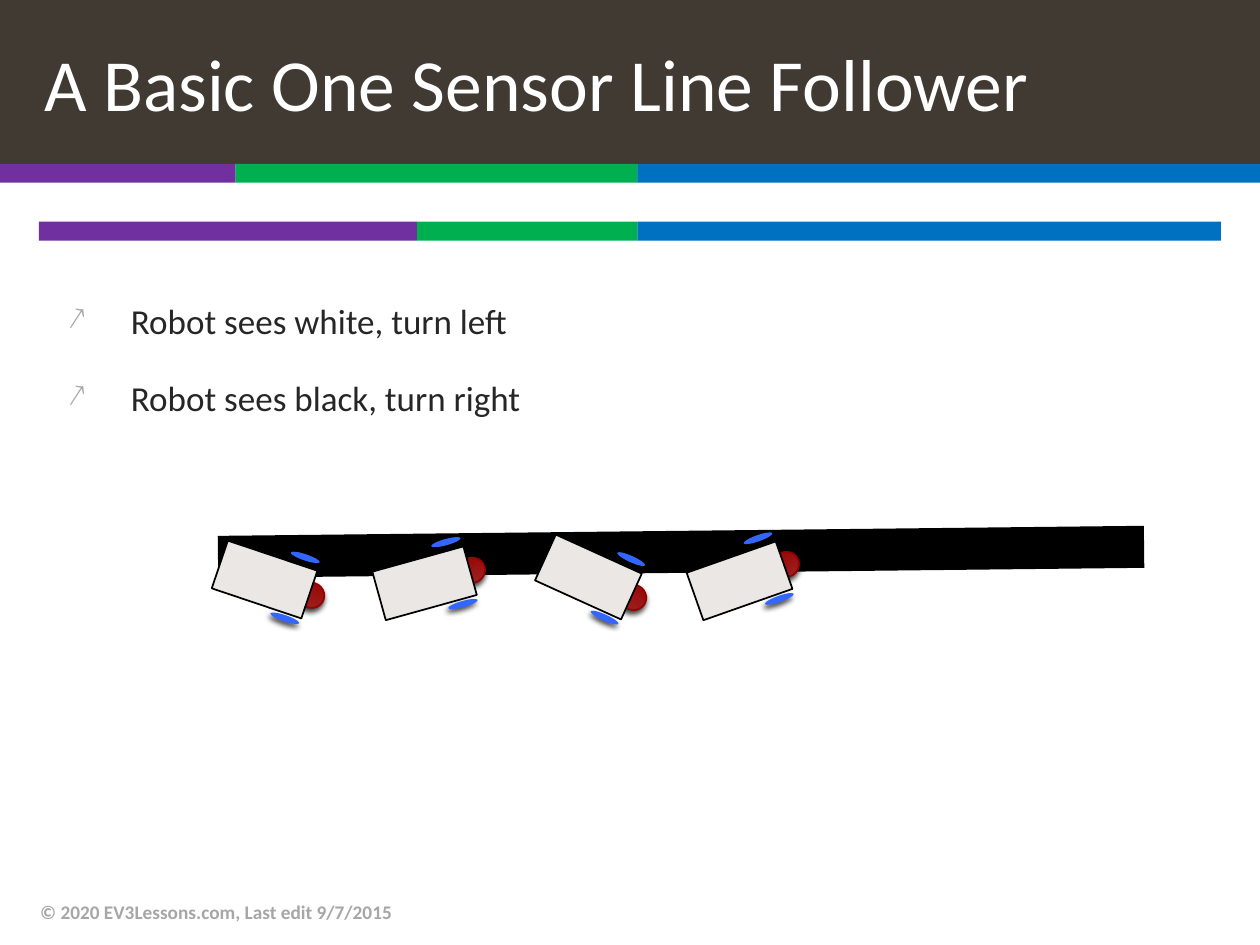
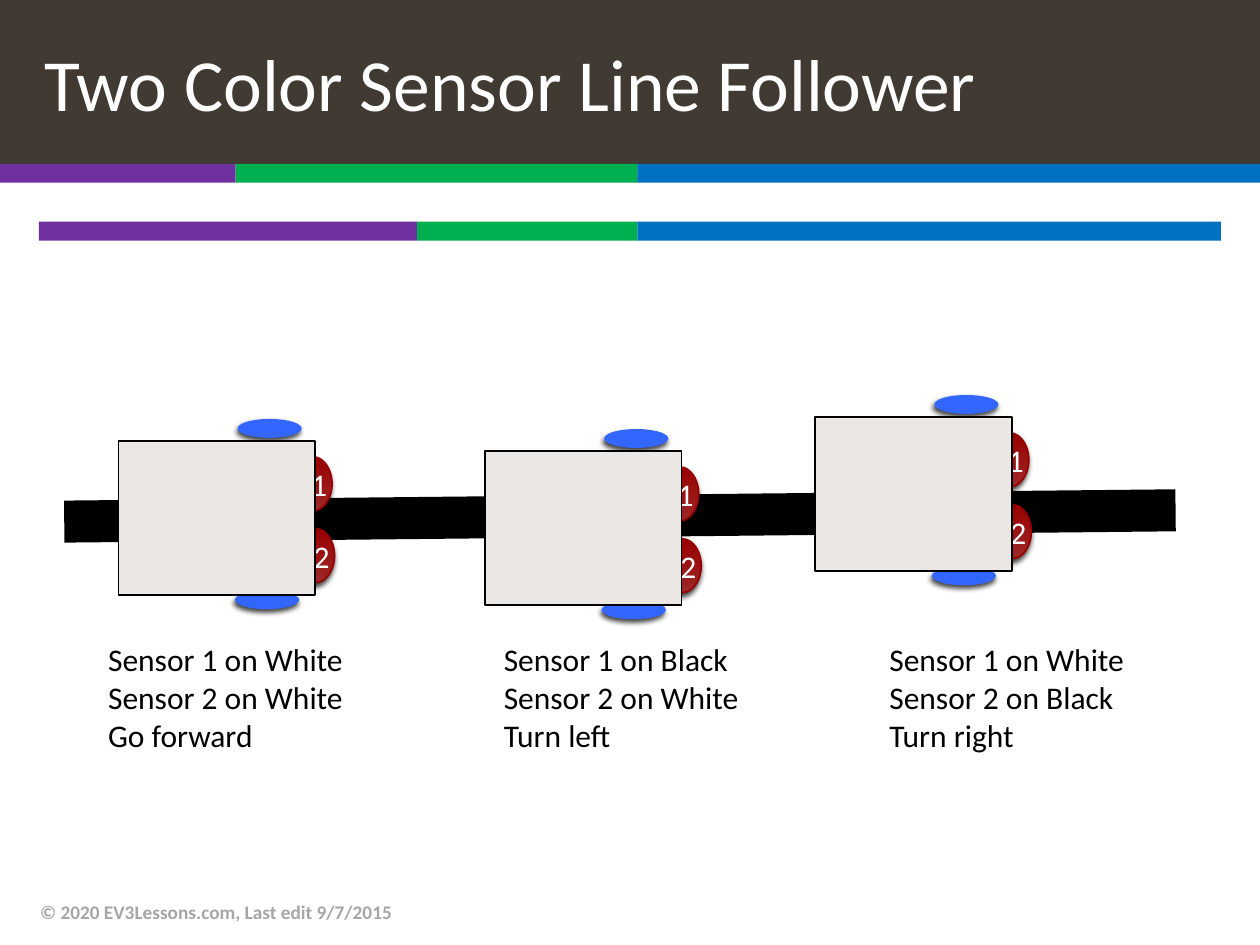
from math import cos, radians, sin

from lxml import etree
from pptx import Presentation
from pptx.dml.color import RGBColor
from pptx.enum.shapes import MSO_CONNECTOR as CONN, MSO_SHAPE as SHAPE
from pptx.enum.text import MSO_ANCHOR as ANCHOR, MSO_AUTO_SIZE as AUTO, PP_ALIGN as ALIGN
from pptx.oxml import parse_xml
from pptx.oxml.ns import nsdecls, qn
from pptx.util import Inches, Pt

PURPLE = RGBColor(0x70, 0x30, 0xA0)
GREEN = RGBColor(0x00, 0xB0, 0x50)
BLUE = RGBColor(0x00, 0x70, 0xC0)
BROWN = RGBColor(0x41, 0x3A, 0x33)
GRAY = RGBColor(0xA6, 0xA6, 0xA6)
INK = RGBColor(0x26, 0x26, 0x26)
BLACK = RGBColor(0x00, 0x00, 0x00)
WHITE = RGBColor(0xFF, 0xFF, 0xFF)
WHEEL = RGBColor(0x33, 0x66, 0xFF)
BODY = RGBColor(0xEA, 0xE7, 0xE4)
SENSOR_LIGHT = RGBColor(0x9D, 0x28, 0x28)
SENSOR_DARK = RGBColor(0x99, 0x00, 0x00)
SENSOR_EDGE = RGBColor(0x96, 0x00, 0x00)

FONT = "Calibri"
WIDTH, HEIGHT = 10, 7.5
TITLE_H = 1.3
FOOTER = "© 2020 EV3Lessons.com, Last edit 9/7/2015"

BAND_H = 0.15
BAND_COLORS = [PURPLE, GREEN, BLUE]
BANDS = [(TITLE_H, [0, 1.87, 5.06, WIDTH]), (1.76, [0.31, 3.31, 5.06, 9.69])]

ONE_TITLE = "A Basic One Sensor Line Follower"
RULES = ["Robot sees white, turn left", "Robot sees black, turn right"]
ONE_TRACK = (9.08, 4.34, 1.73, 4.42)
ONE_ROBOTS = [(2.1, 4.6, 18.6), (3.37, 4.63, -15.5), (4.67, 4.58, 24.4), (5.87, 4.61, -19.4)]
SMALL = {
    "wheel": (0.24, 0.05),
    "wheels": [(0.25, -0.27), (0.25, 0.24)],
    "sensor": (0.21, 0.2),
    "sensors": [(0.39, 0, "")],
    "body": (0.75, 0.4),
}

TWO_TITLE = "Two Color Sensor Line Follower"
TWO_TRACK = (9.33, 4.05, 0.51, 4.14)
TWO_ROBOTS = [
    (1.72, 4.11, 0.76, 2.6, ["Sensor 1 on White", "Sensor 2 on White", "Go forward"]),
    (4.63, 4.19, 3.9, 2.51, ["Sensor 1 on Black", "Sensor 2 on White", "Turn left"]),
    (7.25, 3.92, 6.96, 2.21, ["Sensor 1 on White", "Sensor 2 on Black", "Turn right"]),
]
LARGE = {
    "wheel": (0.51, 0.15),
    "wheels": [(0.42, -0.71), (0.4, 0.65)],
    "sensor": (0.31, 0.43),
    "sensors": [(0.78, 0.3, "2"), (0.76, -0.27, "1")],
    "body": (1.56, 1.22),
}


def write(tf, lines, size=18, color=BLACK, bold=False, align=ALIGN.LEFT,
          anchor=ANCHOR.TOP, gap=0, bullet=None, indent=0):
    tf.word_wrap = True
    tf.auto_size = AUTO.NONE
    tf.vertical_anchor = anchor
    for i, line in enumerate(lines):
        p = tf.paragraphs[0] if i == 0 else tf.add_paragraph()
        p.alignment = align
        p.space_before = Pt(gap if i else 0)
        pPr = p._p.get_or_add_pPr()
        pPr.set("marL", str(Inches(indent)))
        pPr.set("indent", str(Inches(-indent if bullet else 0)))
        if bullet:
            clr = etree.SubElement(pPr, qn("a:buClr"))
            etree.SubElement(clr, qn("a:srgbClr"), val=str(GRAY))
            etree.SubElement(pPr, qn("a:buSzPct"), val="90000")
            etree.SubElement(pPr, qn("a:buChar"), char=bullet)
        r = p.add_run()
        r.text = line
        r.font.name = FONT
        r.font.size = Pt(size)
        r.font.bold = bold
        r.font.color.rgb = color


def add_text(s, x, y, w, h, lines, **fmt):
    tb = s.shapes.add_textbox(Inches(x), Inches(y), Inches(w), Inches(h))
    write(tb.text_frame, lines, **fmt)


def add_block(shapes, kind, x, y, w, h, fill, edge=None, rotation=0, shadow=False):
    sp = shapes.add_shape(kind, Inches(x), Inches(y), Inches(w), Inches(h))
    sp.rotation = rotation
    if isinstance(fill, tuple) and not isinstance(fill, RGBColor):
        sp.fill.gradient()
        sp.fill.gradient_angle = 90
        for stop, color in zip(sp.fill.gradient_stops, fill):
            stop.color.rgb = color
    else:
        sp.fill.solid()
        sp.fill.fore_color.rgb = fill
    if edge is None:
        sp.line.fill.background()
    else:
        sp.line.color.rgb = edge
        sp.line.width = Pt(1)
    sp.shadow.inherit = False
    if shadow:
        sp._element.spPr.find(qn("a:effectLst")).append(parse_xml(
            f'<a:outerShdw {nsdecls("a")} blurRad="{Pt(3)}" dist="{Pt(2)}" dir="{110 * 60000}" '
            'rotWithShape="0"><a:srgbClr val="000000"><a:alpha val="75000"/></a:srgbClr></a:outerShdw>'))
    return sp


def add_track(s, x1, y1, x2, y2):
    line = s.shapes.add_connector(CONN.STRAIGHT, Inches(x1), Inches(y1), Inches(x2), Inches(y2))
    line.line.color.rgb = BLACK
    line.line.width = Pt(24)
    etree.SubElement(line._element.spPr, qn("a:effectLst"))


def add_robot(s, cx, cy, model, angle=0):
    group = s.shapes.add_group_shape()
    c, n = cos(radians(angle)), sin(radians(angle))

    def part(kind, dx, dy, size, fill, **fmt):
        w, h = size
        x, y = cx + dx * c - dy * n, cy + dx * n + dy * c
        return add_block(group.shapes, kind, x - w / 2, y - h / 2, w, h, fill,
                         rotation=angle, **fmt)

    for dx, dy in model["wheels"]:
        part(SHAPE.OVAL, dx, dy, model["wheel"], WHEEL, shadow=True)
    for dx, dy, label in model["sensors"]:
        sp = part(SHAPE.OVAL, dx, dy, model["sensor"], (SENSOR_LIGHT, SENSOR_DARK),
                  edge=SENSOR_EDGE, shadow=True)
        if label:
            write(sp.text_frame, [label], color=WHITE, align=ALIGN.CENTER, anchor=ANCHOR.MIDDLE)
    part(SHAPE.RECTANGLE, 0, 0, model["body"], BODY, edge=BLACK)


def new_slide(prs, title):
    s = prs.slides.add_slide(prs.slide_layouts[5])
    for top, edges in BANDS:
        for left, right, color in zip(edges, edges[1:], BAND_COLORS):
            add_block(s.shapes, SHAPE.RECTANGLE, left, top, right - left, BAND_H, color)
    sp = s.shapes.title
    sp.left, sp.top, sp.width, sp.height = 0, 0, Inches(WIDTH), Inches(TITLE_H)
    sp.fill.solid()
    sp.fill.fore_color.rgb = BROWN
    write(sp.text_frame, [title], size=42, color=WHITE, anchor=ANCHOR.MIDDLE, indent=0.25)
    add_text(s, 0.22, 7.04, 6.7, 0.4, [FOOTER], size=11, color=GRAY, bold=True,
             anchor=ANCHOR.MIDDLE)
    return s


def main():
    prs = Presentation()
    prs.slide_width, prs.slide_height = Inches(WIDTH), Inches(HEIGHT)

    s = new_slide(prs, ONE_TITLE)
    add_text(s, 0.44, 2.33, 6.01, 1.23, RULES, size=20, color=INK, gap=20, bullet="↗", indent=0.5)
    add_track(s, *ONE_TRACK)
    for cx, cy, angle in ONE_ROBOTS:
        add_robot(s, cx, cy, SMALL, angle)

    s = new_slide(prs, TWO_TITLE)
    add_track(s, *TWO_TRACK)
    for cx, cy, left, width, lines in TWO_ROBOTS:
        add_robot(s, cx, cy, LARGE)
        add_text(s, left, 5.03, width, 1.01, lines)

    prs.save("out.pptx")


if __name__ == "__main__":
    main()
